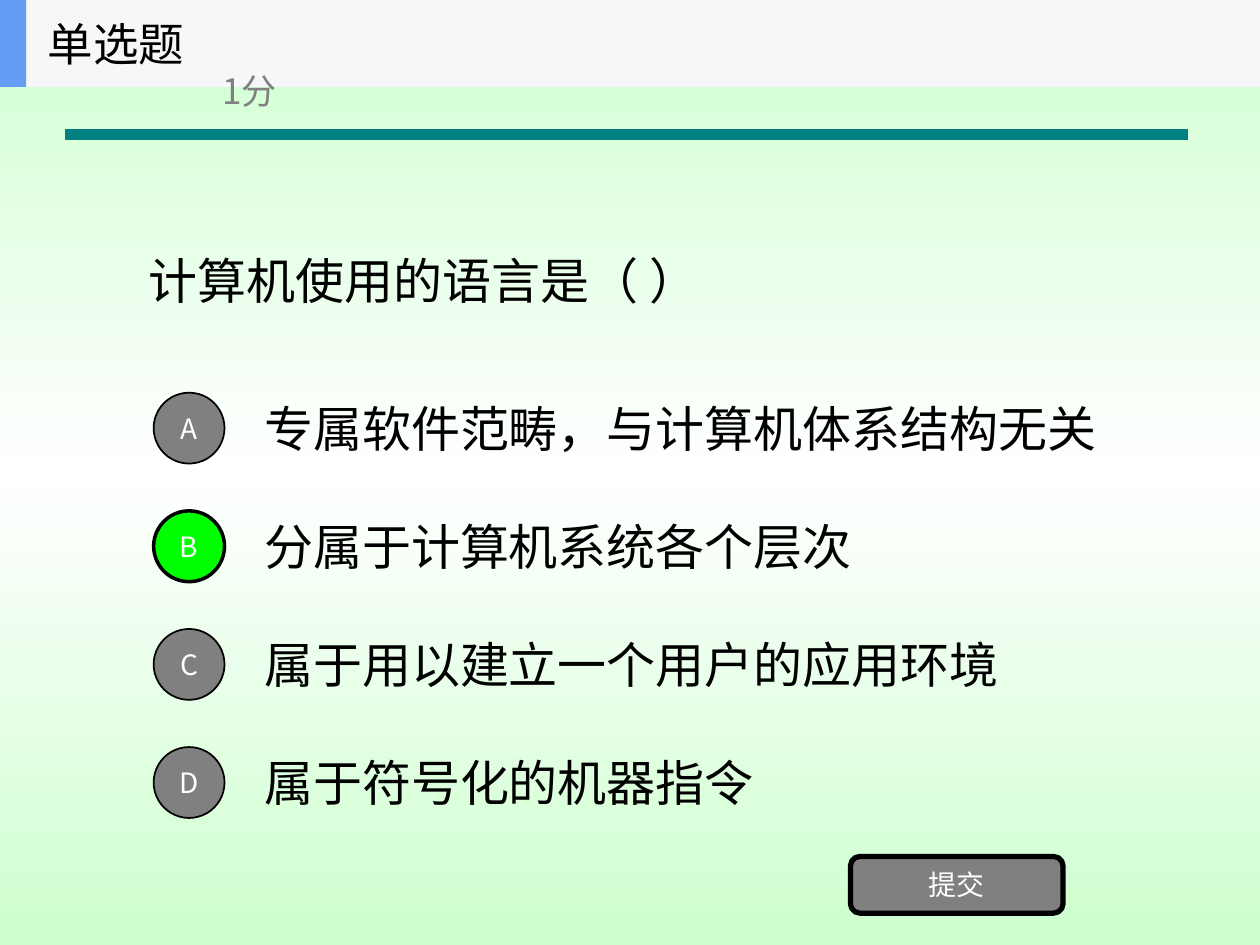
from collections import namedtuple
from copy import deepcopy

from pptx import Presentation
from pptx.dml.color import RGBColor as RGB
from pptx.enum.shapes import MSO_CONNECTOR as LINK, MSO_SHAPE as SHAPE
from pptx.enum.text import MSO_ANCHOR as ANCHOR, PP_ALIGN as ALIGN
from pptx.oxml.ns import qn
from pptx.util import Pt

Theme = namedtuple(
    "Theme",
    "mint white black grey green teal band accent body title points label serif sans",
)
theme = Theme(
    mint=RGB.from_string("CDFFCE"), white=RGB.from_string("FFFFFF"),
    black=RGB.from_string("000000"), grey=RGB.from_string("808080"),
    green=RGB.from_string("00FF00"), teal=RGB.from_string("008080"),
    band=RGB.from_string("F6F7F8"), accent=RGB.from_string("639EF4"),
    body=28, title=26, points=20, label=16,
    serif="Times New Roman", sans="Noto Sans CJK SC",
)

deck = Presentation()
deck.slide_width, deck.slide_height = Pt(720), Pt(540)
slide = deck.slides.add_slide(deck.slide_layouts[6])
shapes = slide.shapes


def write(text, box=None, host=None, size=theme.body, font=theme.serif,
          color=theme.black, align=ALIGN.LEFT):
    host = host or shapes.add_textbox(*map(Pt, box))
    frame = host.text_frame
    frame.word_wrap = True
    frame.vertical_anchor = ANCHOR.MIDDLE
    paragraph = frame.paragraphs[0]
    paragraph.alignment = align
    run = paragraph.add_run()
    run.text = text
    run.font.size, run.font.name = Pt(size), font
    run.font.color.rgb = color
    east_asian = run.font._element.makeelement(qn("a:ea"), {"typeface": theme.sans})
    run.font._element.find(qn("a:latin")).addnext(east_asian)


def draw(kind, box, fill, outline=0):
    shape = shapes.add_shape(kind, *map(Pt, box))
    shape.shadow.inherit = False
    shape.fill.solid()
    shape.fill.fore_color.rgb = fill
    if outline:
        shape.line.color.rgb = theme.black
        shape.line.width = Pt(outline)
    else:
        shape.line.fill.background()
    return shape


backdrop = slide.background.fill
backdrop.gradient()
backdrop.gradient_angle = 90
first_stop = slide.element.find(".//" + qn("a:gs"))
first_stop.addnext(deepcopy(first_stop))
for stop, position, color in zip(
    backdrop.gradient_stops, (0, 0.5, 1), (theme.mint, theme.white, theme.mint)
):
    stop.position = position
    stop.color.rgb = color

divider = shapes.add_connector(LINK.STRAIGHT, Pt(37), Pt(77), Pt(679), Pt(77))
divider.line.color.rgb = theme.teal
divider.line.width = Pt(6)
divider_props = divider._element.spPr
divider_props.append(divider_props.makeelement(qn("a:effectLst"), {}))

write("计算机使用的语言是（ ）", box=(78, 75.6, 576, 168.5))

options = [
    ("A", "专属软件范畴，与计算机体系结构无关"),
    ("B", "分属于计算机系统各个层次"),
    ("C", "属于用以建立一个用户的应用环境"),
    ("D", "属于符号化的机器指令"),
]
correct = "B"
label_style = dict(size=theme.label, font=theme.sans, color=theme.white, align=ALIGN.CENTER)

for row, (letter, answer) in enumerate(options):
    top = 219.4 + 67.5 * row
    write(answer, box=(144, top, 504, 50.4))
    fill, outline = (theme.green, 2) if letter == correct else (theme.grey, 1)
    bullet = draw(SHAPE.OVAL, (87.8, top + 5, 40.5, 40.5), fill, outline)
    write(letter, host=bullet, **label_style)

submit = draw(SHAPE.ROUNDED_RECTANGLE, (486, 489.4, 121.5, 32.4), theme.grey, 3)
submit.adjustments[0] = 0.167
write("提交", host=submit, **label_style)

draw(SHAPE.RECTANGLE, (0, 0, 720, 49.7), theme.band)
draw(SHAPE.RECTANGLE, (0, 0, 15, 49.7), theme.accent)
write("单选题", box=(20.2, 0, 150, 49.7), size=theme.title, font=theme.sans)
write("1分", box=(120, 8.6, 171.4, 85.7), size=theme.points, font=theme.sans, color=theme.grey)

deck.save("out.pptx")
